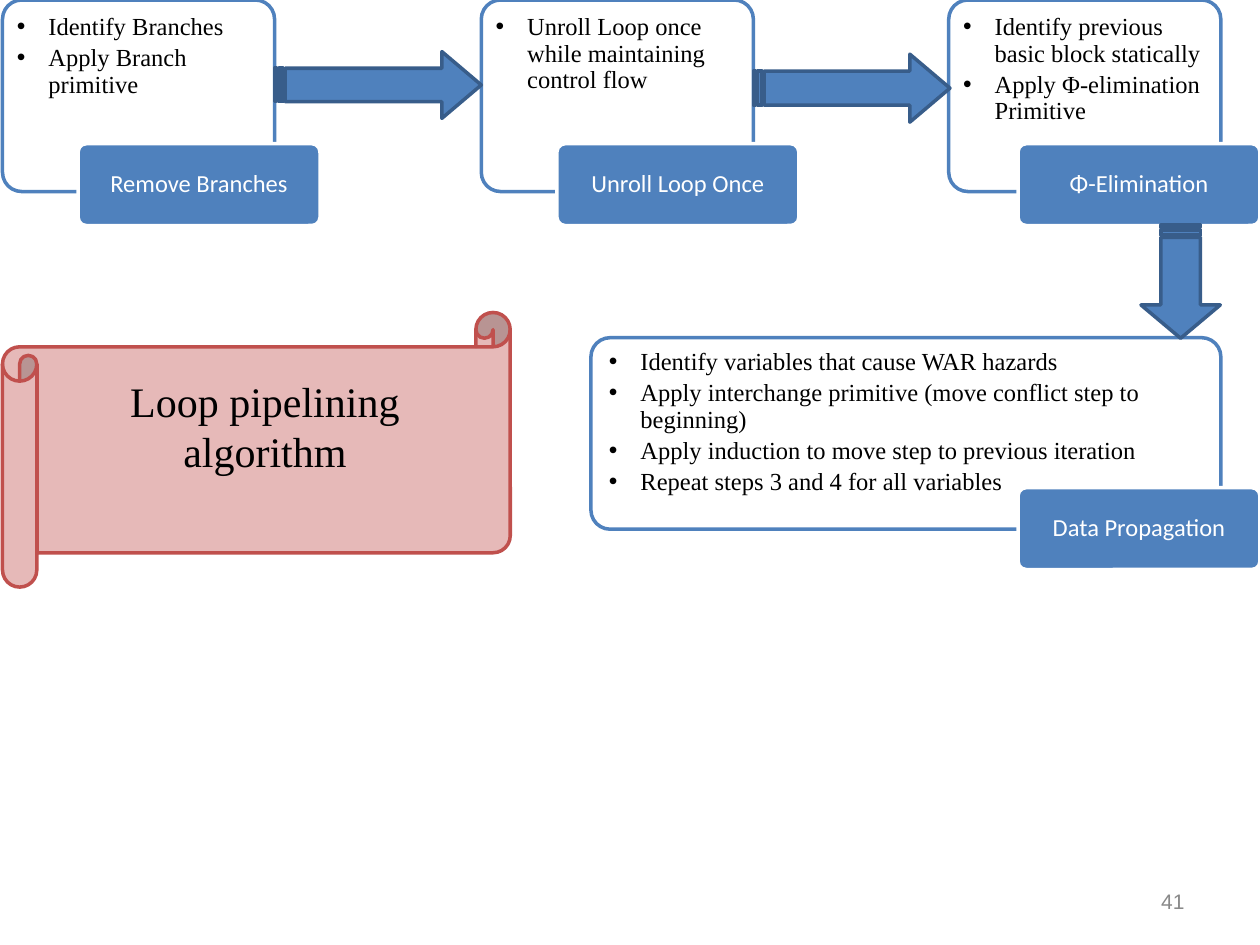
from dataclasses import dataclass

from lxml import etree
from pptx import Presentation
from pptx.dml.color import RGBColor
from pptx.enum.shapes import MSO_SHAPE
from pptx.enum.text import MSO_ANCHOR, PP_ALIGN
from pptx.oxml.ns import qn
from pptx.util import Inches, Pt

ROUND_RECT = MSO_SHAPE.ROUNDED_RECTANGLE
STRIPED_ARROW = MSO_SHAPE.STRIPED_RIGHT_ARROW
SCROLL = MSO_SHAPE.HORIZONTAL_SCROLL
TOP, MIDDLE = MSO_ANCHOR.TOP, MSO_ANCHOR.MIDDLE
LEFT, CENTER, RIGHT = PP_ALIGN.LEFT, PP_ALIGN.CENTER, PP_ALIGN.RIGHT


@dataclass(frozen=True)
class Theme:
    blue: str = "4F81BD"
    dark_blue: str = "385D8A"
    white: str = "FFFFFF"
    black: str = "000000"
    pink: str = "E6B9B8"
    red: str = "C0504D"
    gray: str = "898989"
    serif: str = "Times New Roman"
    sans: str = "Calibri"
    number_font: str = "Arial"
    body_size: float = 14
    title_size: float = 24
    number_size: float = 12
    line_width: float = 2


@dataclass(frozen=True)
class Box:
    left: float
    top: float
    width: float
    height: float


@dataclass(frozen=True)
class Step:
    label: str
    points: tuple[str, ...]
    card: Box
    tag_left: float
    tag_top: float
    inset: tuple[float, float] = (0.07, 0.07)


@dataclass(frozen=True)
class Arrow:
    box: Box
    head: float
    rotation: float = 0


THEME = Theme()
CARD_W, CARD_H = 2.16, 1.52
TAG_W, TAG_H = 1.92, 0.65

STEPS = (
    Step("Remove Branches", ("Identify Branches", "Apply Branch primitive"),
         Box(0.02, 0, CARD_W, CARD_H), 0.62, 1.14),
    Step("Data Propagation",
         ("Identify variables that cause WAR hazards",
          "Apply interchange primitive (move conflict step to beginning)",
          "Apply induction to move step to previous iteration",
          "Repeat steps 3 and 4 for all variables"),
         Box(4.69, 2.68, 5, CARD_H), 8.08, 3.87, (0.1, 0.05)),
    Step("Unroll Loop Once",
         ("Unroll Loop once while maintaining control flow",),
         Box(3.82, 0, CARD_W, CARD_H), 4.42, 1.14),
    Step("Φ-Elimination",
         ("Identify previous basic block statically",
          "Apply Φ-elimination Primitive"),
         Box(7.53, 0, CARD_W, CARD_H), 8.08, 1.14),
)

ARROWS = (
    Arrow(Box(2.18, 0.41, 1.64, 0.53), 0.59),
    Arrow(Box(5.98, 0.43, 1.56, 0.54), 0.59),
    Arrow(Box(8.92, 1.92, 0.9, 0.63), 0.42, 90),
)


def place(box: Box) -> tuple:
    return tuple(Inches(v) for v in (box.left, box.top, box.width, box.height))


def add_panel(s, kind, box: Box, fill: str, line: str):
    sp = s.shapes.add_shape(kind, *place(box))
    sp.shadow.inherit = False
    sp.fill.solid()
    sp.fill.fore_color.rgb = RGBColor.from_string(fill)
    sp.line.color.rgb = RGBColor.from_string(line)
    sp.line.width = Pt(THEME.line_width)
    return sp


def set_frame(sp, anchor, left: float, top: float, right: float, bottom: float):
    tf = sp.text_frame
    tf.word_wrap = True
    tf.vertical_anchor = anchor
    tf.margin_left, tf.margin_top = Inches(left), Inches(top)
    tf.margin_right, tf.margin_bottom = Inches(right), Inches(bottom)
    return tf


def add_run(p, text: str, font: str, size: float, color: str, align) -> None:
    p.alignment = align
    r = p.add_run()
    r.text = text
    r.font.name = font
    r.font.size = Pt(size)
    r.font.color.rgb = RGBColor.from_string(color)


def add_bullet(p) -> None:
    pPr = p._p.get_or_add_pPr()
    pPr.set("marL", str(Inches(0.25)))
    pPr.set("indent", str(-Inches(0.25)))
    etree.SubElement(pPr, qn("a:buFont"), typeface="Arial")
    etree.SubElement(pPr, qn("a:buChar"), char="•")


def add_step(s, step: Step) -> None:
    # Card with its bullet points
    card = add_panel(s, ROUND_RECT, step.card, THEME.white, THEME.blue)
    card.adjustments[0] = 0.1
    color = card._element.spPr.find(qn("a:solidFill"))[0]
    etree.SubElement(color, qn("a:alpha"), val="90000")
    x, y = step.inset
    tf = set_frame(card, TOP, x, y, x, 0.3)
    for i, point in enumerate(step.points):
        p = tf.paragraphs[0] if i == 0 else tf.add_paragraph()
        add_bullet(p)
        p.line_spacing = 0.9
        p.space_after = Pt(2.6)
        add_run(p, point, THEME.serif, THEME.body_size, THEME.black, LEFT)

    # Tag that names the step
    box = Box(step.tag_left, step.tag_top, TAG_W, TAG_H)
    tag = add_panel(s, ROUND_RECT, box, THEME.blue, THEME.white)
    tag.adjustments[0] = 0.1
    p = set_frame(tag, MIDDLE, 0.07, 0.05, 0.07, 0.05).paragraphs[0]
    p.line_spacing = 0.9
    add_run(p, step.label, THEME.sans, THEME.body_size, THEME.white, CENTER)


def add_arrow(s, arrow: Arrow) -> None:
    sp = add_panel(s, STRIPED_ARROW, arrow.box, THEME.blue, THEME.dark_blue)
    sp.adjustments[0] = 0.5
    sp.adjustments[1] = arrow.head
    sp.rotation = arrow.rotation


def main() -> None:
    prs = Presentation()
    prs.slide_width, prs.slide_height = Inches(10), Inches(7.5)
    s = prs.slides.add_slide(prs.slide_layouts[6])

    # Slide number
    number = s.shapes.add_textbox(*place(Box(7.17, 6.95, 2.33, 0.4)))
    tf = set_frame(number, MIDDLE, 0.1, 0.05, 0.1, 0.05)
    add_run(tf.paragraphs[0], "41", THEME.number_font, THEME.number_size,
            THEME.gray, RIGHT)

    # Process steps and the arrows between them
    for step in STEPS:
        add_step(s, step)
    for arrow in ARROWS:
        add_arrow(s, arrow)

    # Heading scroll; the deep bottom margin lifts the text
    scroll = add_panel(s, SCROLL, Box(0.02, 2.48, 4.03, 2.18),
                       THEME.pink, THEME.red)
    scroll.adjustments[0] = 0.125
    tf = set_frame(scroll, MIDDLE, 0.1, 0.05, 0.1, 0.43)
    add_run(tf.paragraphs[0], "Loop pipelining algorithm", THEME.serif,
            THEME.title_size, THEME.black, CENTER)

    prs.save("out.pptx")


if __name__ == "__main__":
    main()
